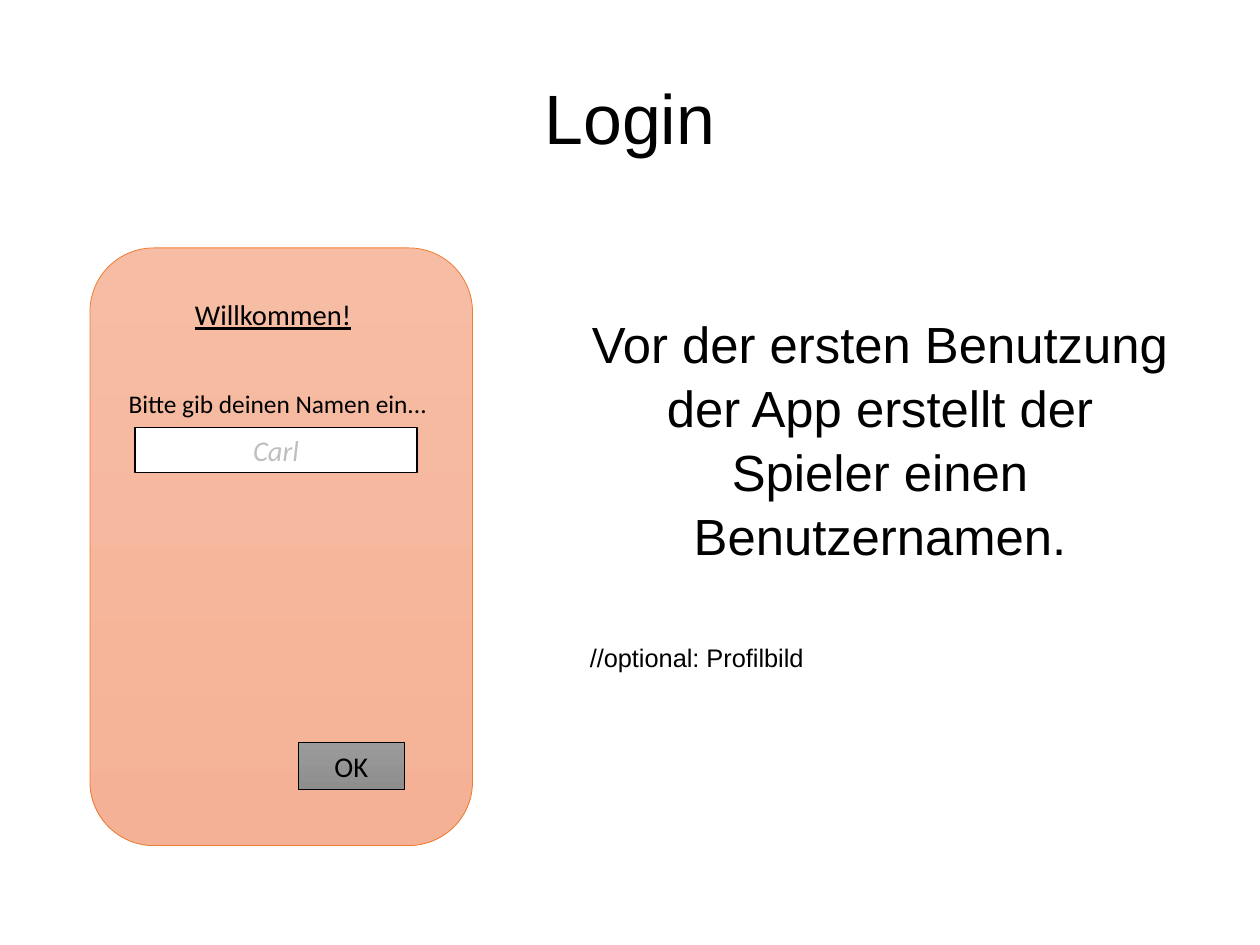
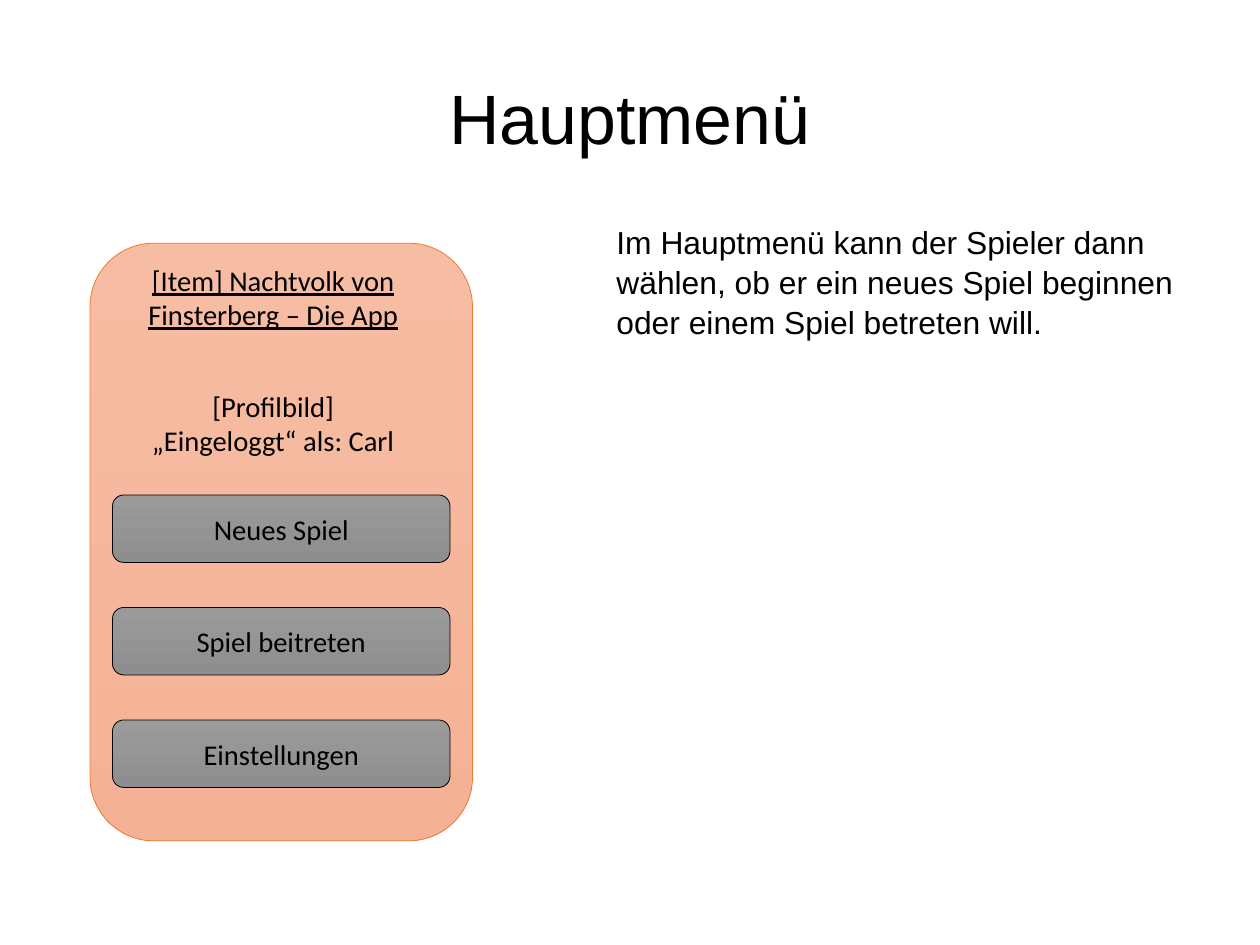
import pptx
import pptx.util
import pptx.dml.color
import pptx.enum.shapes
import pptx.enum.text
import pptx.oxml.xmlchemy
from pptx.util import Pt

ALIGN = pptx.enum.text.PP_ALIGN
ANCHOR = pptx.enum.text.MSO_ANCHOR
SHAPE = pptx.enum.shapes.MSO_SHAPE

BLACK = "000000"
PHONE_FILL = ("F7BDA4", "F5B195")
PHONE_LINE = "ED7D31"
BUTTON_FILL = ("9B9B9B", "8E8E8E")

TITLE_BOX = (39.7, 23.8, 714.3, 99.4)
PHONE_LEFT, PHONE_WIDTH, PHONE_HEIGHT = 56.7, 241, 376.5
MENU_LEFT, MENU_TOP, MENU_WIDTH, MENU_HEIGHT, MENU_PITCH = 70.9, 311.8, 212.6, 42.5, 70.87

TITLE_FONT = {"name": "Arial", "size": Pt(44), "bold": False}
APP_FONT = {"name": "Calibri", "size": Pt(18)}
HEADING_FONT = APP_FONT | {"underline": True}
PROMPT_FONT = APP_FONT | {"size": Pt(16)}
ENTRY_FONT = APP_FONT | {"italic": True}

MENU = ["Neues Spiel", "Spiel beitreten", "Einstellungen"]

SCREENS = [
    {
        "title": "Login",
        "body_box": (371.5, 194.8, 366, 362),
        "body": [
            ("Vor der ersten Benutzung der App erstellt der Spieler einen Benutzernamen.",
             32, ALIGN.CENTER, 47.7),
            ("//optional: Profilbild", 16, ALIGN.LEFT, 14.2),
        ],
        "phone_top": 156.2,
        "labels": [
            (["Willkommen!"], (74.9, 183.6, 194.4, 29), HEADING_FONT),
            (["Bitte gib deinen Namen ein..."], (70.6, 241.2, 208.8, 45), PROMPT_FONT),
        ],
        "controls": [
            ("Carl", SHAPE.RECTANGLE, (85, 269.3, 177.8, 28.3), "FFFFFF", 1, ENTRY_FONT, "BFBFBF"),
            ("OK", SHAPE.RECTANGLE, (187.8, 467.8, 67, 29.5), BUTTON_FILL, 0.5, APP_FONT, BLACK),
        ],
    },
    {
        "title": "Hauptmenü",
        "body_box": (388.3, 139, 365.7, 393),
        "body": [
            ("Im Hauptmenü kann der Spieler dann wählen, ob er ein neues Spiel beginnen "
             "oder einem Spiel betreten will.", 20, ALIGN.LEFT, 14.2),
        ],
        "phone_top": 153.2,
        "labels": [
            (["[Item] Nachtvolk von Finsterberg – Die App"], (74.9, 162, 194.4, 50.4), HEADING_FONT),
            (["[Profilbild]", "„Eingeloggt“ als: Carl"], (74.9, 241.2, 194.4, 50.4), APP_FONT),
        ],
        "controls": [
            (entry, SHAPE.ROUNDED_RECTANGLE,
             (MENU_LEFT, MENU_TOP + row * MENU_PITCH, MENU_WIDTH, MENU_HEIGHT),
             BUTTON_FILL, 0.5, APP_FONT, BLACK)
            for row, entry in enumerate(MENU)
        ],
    },
]


def rgb(value):
    """Turn a hex string into a colour."""
    return pptx.dml.color.RGBColor.from_string(value)


def apply(target, values):
    """Set each named attribute on the target."""
    for name, value in values.items():
        setattr(target, name, value)


def place(box):
    """Name the four lengths of a box in points."""
    return dict(zip(("left", "top", "width", "height"), map(Pt, box)))


def write(paragraph, text, font, color=BLACK, **layout):
    """Fill a paragraph with one formatted run."""
    apply(paragraph, layout)
    run = paragraph.add_run()
    run.text = text
    apply(run.font, font)
    run.font.color.rgb = rgb(color)


def fill_placeholder(placeholder, box, anchor):
    """Move a placeholder, clear its insets and return its text frame."""
    apply(placeholder, place(box))
    frame = placeholder.text_frame
    apply(frame, {"margin_left": 0, "margin_top": 0, "margin_right": 0, "margin_bottom": 0,
                  "word_wrap": True, "vertical_anchor": anchor,
                  "auto_size": pptx.enum.text.MSO_AUTO_SIZE.NONE})
    return frame


def add_panel(slide, kind, box, fill, line, width):
    """Add a preset shape with a plain or top-to-bottom gradient fill."""
    panel = slide.shapes.add_shape(kind, *map(Pt, box))
    panel.shadow.inherit = False
    if isinstance(fill, str):
        panel.fill.solid()
        panel.fill.fore_color.rgb = rgb(fill)
    else:
        panel.fill.gradient()
        panel.fill.gradient_angle = 270
        for stop, color in zip(panel.fill.gradient_stops, fill):
            stop.color.rgb = rgb(color)
    panel.line.color.rgb = rgb(line)
    panel.line.width = Pt(width)
    return panel


def add_body(placeholder, box, paragraphs):
    """Write the explanation beside the phone without bullets."""
    frame = fill_placeholder(placeholder, box, ANCHOR.TOP)
    for index, (text, size, align, after) in enumerate(paragraphs):
        paragraph = frame.add_paragraph() if index else frame.paragraphs[0]
        properties = paragraph._p.get_or_add_pPr()
        properties.set("marL", "0")
        properties.set("indent", "0")
        properties.append(pptx.oxml.xmlchemy.OxmlElement("a:buNone"))
        write(paragraph, text, {"name": "Arial", "size": Pt(size)}, alignment=align,
              line_spacing=1.05, space_before=Pt(0), space_after=Pt(after))


def add_label(slide, lines, box, font):
    """Add centred text on the phone."""
    frame = slide.shapes.add_textbox(*map(Pt, box)).text_frame
    frame.word_wrap = True
    for index, line in enumerate(lines):
        paragraph = frame.add_paragraph() if index else frame.paragraphs[0]
        write(paragraph, line, font, alignment=ALIGN.CENTER)


def add_control(slide, text, kind, box, fill, width, font, color):
    """Add a button or entry field on the phone."""
    frame = add_panel(slide, kind, box, fill, BLACK, width).text_frame
    frame.vertical_anchor = ANCHOR.MIDDLE
    write(frame.paragraphs[0], text, font, color, alignment=ALIGN.CENTER)


def build_screen(deck, screen):
    """Build one slide with a title, an explanation and a phone mock-up."""
    slide = deck.slides.add_slide(deck.slide_layouts[1])
    title = fill_placeholder(slide.shapes.title, TITLE_BOX, ANCHOR.MIDDLE)
    write(title.paragraphs[0], screen["title"], TITLE_FONT, alignment=ALIGN.CENTER)
    add_body(slide.placeholders[1], screen["body_box"], screen["body"])
    phone_box = (PHONE_LEFT, screen["phone_top"], PHONE_WIDTH, PHONE_HEIGHT)
    add_panel(slide, SHAPE.ROUNDED_RECTANGLE, phone_box, PHONE_FILL, PHONE_LINE, 0.5)
    for control in screen["controls"]:
        add_control(slide, *control)
    for label in screen["labels"]:
        add_label(slide, *label)


def main():
    """Build and save the presentation."""
    deck = pptx.Presentation()
    apply(deck, {"slide_width": Pt(793.7), "slide_height": Pt(595.3)})
    for screen in SCREENS:
        build_screen(deck, screen)
    deck.save("out.pptx")


if __name__ == "__main__":
    main()
